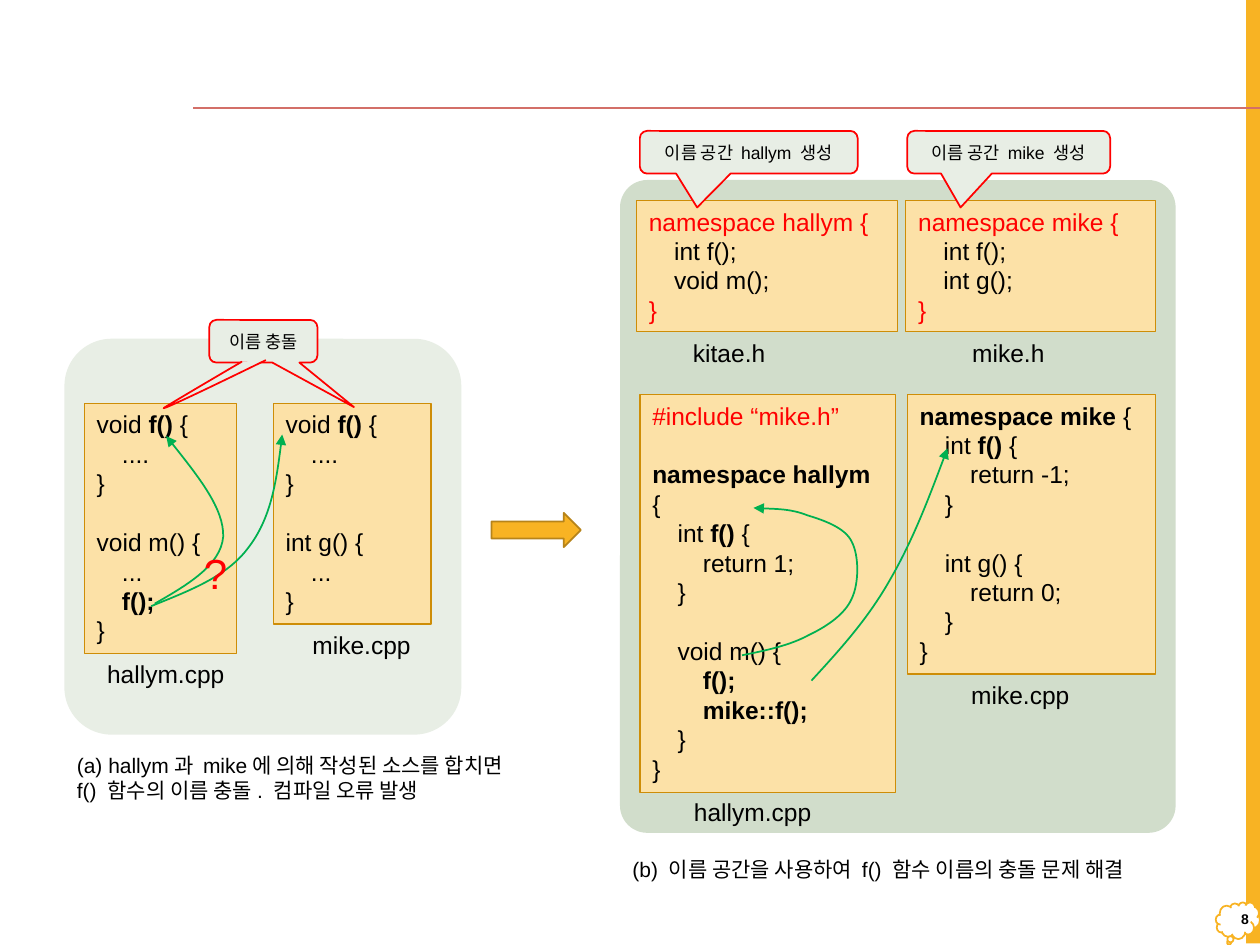
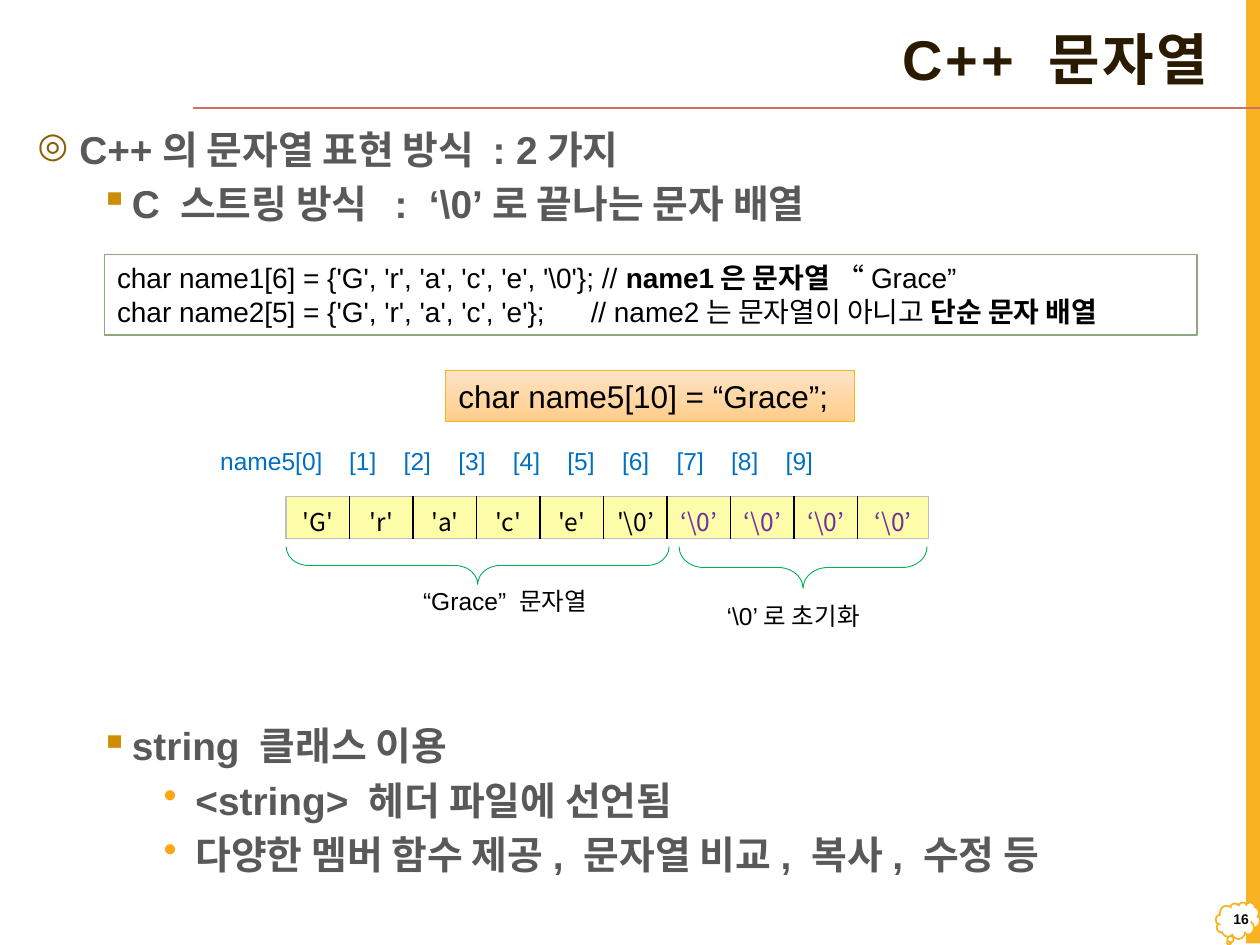
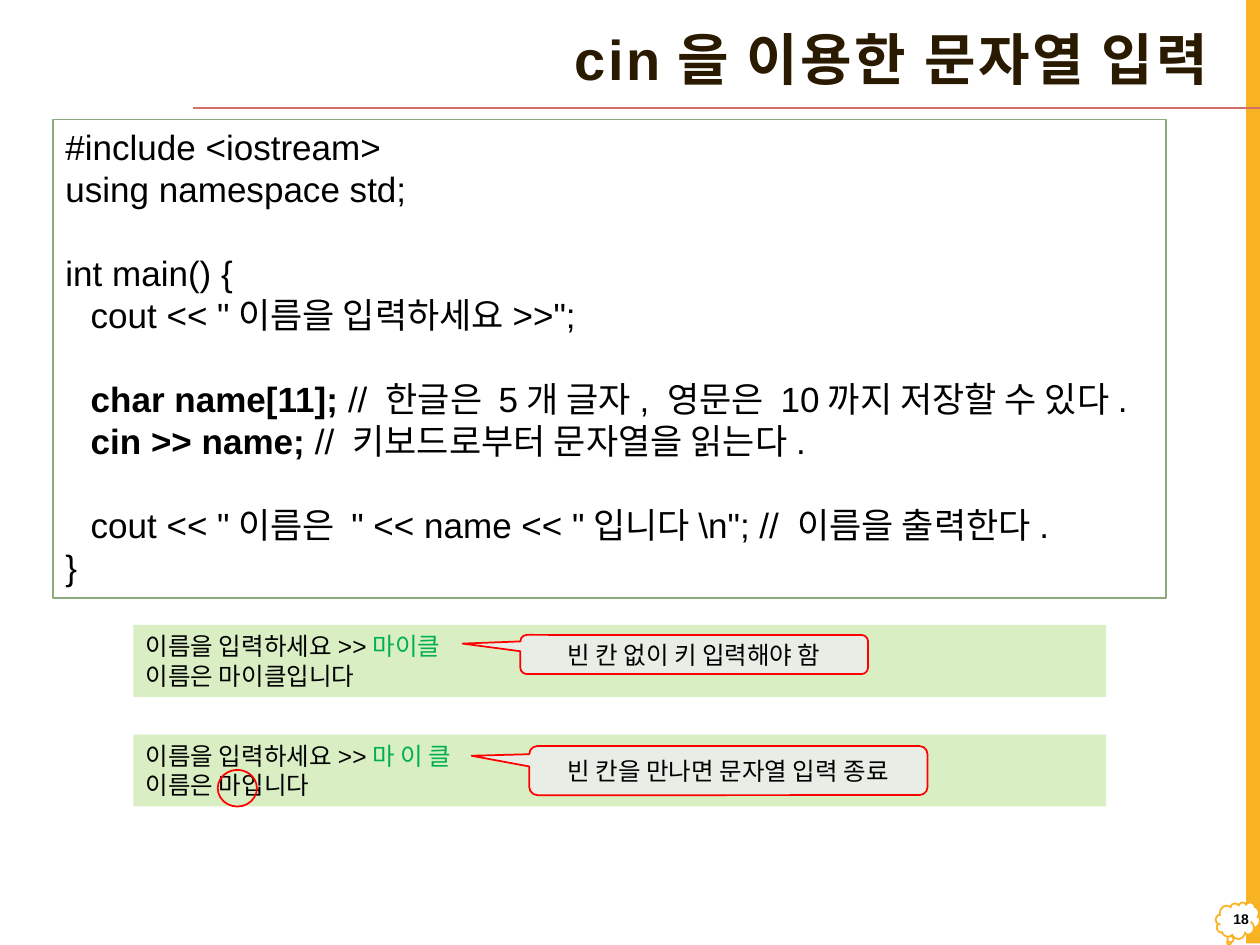
from lxml.etree import SubElement
from pptx import Presentation
from pptx.dml.color import RGBColor
from pptx.enum.shapes import MSO_CONNECTOR, MSO_SHAPE as Shape
from pptx.enum.text import MSO_ANCHOR as Anchor, PP_ALIGN as Align
from pptx.oxml.ns import qn
from pptx.util import Cm, Pt

# Shared look
LATIN, KOREAN = "Arial", "Noto Sans CJK KR"
BLACK, WHITE, RED, GREEN = "000000", "FFFFFF", "FF0000", "00B050"
GOLD, GOLD_DARK, RULE = "F8B323", "B7841A", "D36F68"
TITLE, BODY, PURPLE, BLUE = "2A1A00", "595959", "7030A0", "0070C0"
MIST, SAGE, LIME, MOSS = "E8EEE5", "D1DDCB", "DAEEC4", "8CAA7E"
CODE_FILL, CODE_LINE, CELL, CELL_EDGE = "FCE1A7", "CE8D07", "FDFDA9", "BFBFBF"

BOLD = {"bold": True}
IN_RED = {"color": RED}
CODE_TABS = [0.51, 1.02]
# Per outline level: left margin, hang, bullet, bullet colour, bullet size
LEVELS = [
    (0.84, 0.84, "◎", "895E04", 90),
    (1.9, 0.64, "▪", "CE8D07", 100),
    (3.18, 0.64, "•", "FFA615", 100),
]


def rgb(value):
    return RGBColor.from_string(value)


def lengths(*values):
    return [Cm(value) for value in values]


# Text
def add_run(paragraph, text, font):
    values = {"name": LATIN, "color": BLACK, "bold": False, **font}
    run = paragraph.add_run()
    run.text = text
    run.font.color.rgb = rgb(values.pop("color"))
    for name, value in values.items():
        setattr(run.font, name, value)
    SubElement(run.font._element, qn("a:ea"), typeface=KOREAN)
    return run


def set_tabs(paragraph, stops):
    tab_list = SubElement(paragraph._p.get_or_add_pPr(), qn("a:tabLst"))
    for stop in stops:
        SubElement(tab_list, qn("a:tab"), pos=str(Cm(stop)), algn="l")


def write(shape, lines, size, align=Align.LEFT, anchor=Anchor.TOP,
          wrap=True, tabs=(), **font):
    """A line is a string or a list of strings and (string, font values)."""
    frame = shape.text_frame
    frame.word_wrap = wrap
    frame.vertical_anchor = anchor
    font = {"size": Pt(size), **font}
    for index, line in enumerate(lines):
        paragraph = frame.add_paragraph() if index else frame.paragraphs[0]
        paragraph.alignment = align
        if tabs:
            set_tabs(paragraph, tabs)
        if not line:
            paragraph.font.size = Pt(size)
            continue
        for part in [line] if isinstance(line, str) else line:
            text, extra = (part, {}) if isinstance(part, str) else part
            add_run(paragraph, text, {**font, **extra})
    return shape


def add_text(slide, box, lines, size, **options):
    return write(slide.shapes.add_textbox(*lengths(*box)), lines, size, **options)


def add_label(slide, box, text, size=14, **options):
    return add_text(slide, box, [text], size, wrap=False, **options)


# Shapes
def style(shape, fill=None, line=None, width=1):
    shape.shadow.inherit = False
    if fill:
        shape.fill.solid()
        shape.fill.fore_color.rgb = rgb(fill)
    else:
        shape.fill.background()
    if line:
        shape.line.color.rgb = rgb(line)
        shape.line.width = Pt(width)
    else:
        shape.line.fill.background()
    return shape


def add_shape(slide, kind, box, fill=None, line=None, width=1, adjust=()):
    shape = slide.shapes.add_shape(kind, *lengths(*box))
    for index, value in enumerate(adjust):
        shape.adjustments[index] = value
    return style(shape, fill, line, width)


def add_code(slide, box, lines):
    shape = add_shape(slide, Shape.RECTANGLE, box, CODE_FILL, CODE_LINE, 0.75)
    write(shape, lines, 14, tabs=CODE_TABS)


def add_listing(slide, box, lines, size, tabs):
    shape = add_shape(slide, Shape.RECTANGLE, box, WHITE, MOSS)
    write(shape, lines, size, tabs=tabs)


def add_callout(slide, box, pointer, text, size):
    shape = add_shape(slide, Shape.ROUNDED_RECTANGULAR_CALLOUT, box, MIST, RED,
                      adjust=(*pointer, 0.167))
    write(shape, [text], size, align=Align.CENTER, anchor=Anchor.MIDDLE)


def add_brace(slide, box):
    shape = add_shape(slide, Shape.LEFT_BRACE, box, line=GREEN, width=0.5,
                      adjust=(0.598, 0.5))
    shape.rotation = 270


def add_curve(slide, points, line, fill=None):
    """Draw Bézier segments: a start, then three points per segment."""
    start, *rest = [lengths(*point) for point in points]
    builder = slide.shapes.build_freeform(*start)
    builder.add_line_segments(rest, close=False)
    shape = style(builder.convert_to_shape(), fill, line)
    outline = shape.element.find(".//" + qn("a:path"))
    segments = outline.findall(qn("a:lnTo"))
    for first in range(0, len(segments), 3):
        curve = SubElement(outline, qn("a:cubicBezTo"))
        for segment in segments[first:first + 3]:
            curve.append(segment[0])
            outline.remove(segment)
    return shape


def add_curved_arrow(slide, points):
    shape = add_curve(slide, points, GREEN)
    line = shape.element.spPr.find(qn("a:ln"))
    SubElement(line, qn("a:tailEnd"), type="triangle")


# Outline and table
def add_outline(slide, box, items):
    """Items are (level, text, space before in points)."""
    frame = slide.shapes.add_textbox(*lengths(*box)).text_frame
    frame.word_wrap = True
    for index, (level, text, space) in enumerate(items):
        paragraph = frame.add_paragraph() if index else frame.paragraphs[0]
        margin, hang, bullet, color, size = LEVELS[level]
        properties = paragraph._p.get_or_add_pPr()
        properties.set("marL", str(Cm(margin)))
        properties.set("indent", str(-Cm(hang)))
        bullet_color = SubElement(properties, qn("a:buClr"))
        SubElement(bullet_color, qn("a:srgbClr"), val=color)
        SubElement(properties, qn("a:buSzPct"), val=str(size * 1000))
        SubElement(properties, qn("a:buChar"), char=bullet)
        paragraph.level = level
        paragraph.line_spacing = 0.9
        paragraph.space_before = Pt(space)
        add_run(paragraph, text, {"size": Pt(22.2), "color": BODY, **BOLD})


def add_border(cell, side, color):
    line = SubElement(cell._tc.get_or_add_tcPr(), qn("a:" + side), w=str(Pt(1)))
    fill = SubElement(line, qn("a:solidFill"))
    SubElement(fill, qn("a:srgbClr"), val=color)


def add_cells(slide, left, top, widths, height, texts, colors):
    count = len(texts)
    frame = slide.shapes.add_table(1, count, *lengths(left, top, sum(widths), height))
    table = frame.table
    for index, (width, text, color) in enumerate(zip(widths, texts, colors)):
        table.columns[index].width = Cm(width)
        cell = table.cell(0, index)
        borders = {
            "lnL": BLACK if index else CELL_EDGE,
            "lnR": BLACK if index < count - 1 else CELL_EDGE,
            "lnT": CELL_EDGE,
            "lnB": CELL_EDGE,
        }
        for side, edge in borders.items():
            add_border(cell, side, edge)
        cell.fill.solid()
        cell.fill.fore_color.rgb = rgb(CELL)
        paragraph = cell.text_frame.paragraphs[0]
        paragraph.alignment = Align.CENTER
        add_run(paragraph, text, {"size": Pt(14), "name": KOREAN, "color": color})


# Frame of every slide
def add_slide(presentation, number, title=None):
    slide = presentation.slides.add_slide(presentation.slide_layouts[6])
    add_shape(slide, Shape.RECTANGLE, (25.12, -0.03, 0.28, 19.05), GOLD)
    add_shape(slide, Shape.CLOUD_CALLOUT, (24.51, 18.19, 0.89, 0.74), WHITE, GOLD)
    rule = slide.shapes.add_connector(
        MSO_CONNECTOR.STRAIGHT, *lengths(25.4, 2.18, 3.89, 2.18))
    rule.line.color.rgb = rgb(RULE)
    rule.line.width = Pt(1)
    SubElement(rule.element.spPr, qn("a:effectLst"))
    add_text(slide, (24.54, 18.08, 0.89, 0.89), [number], 8, align=Align.RIGHT,
             anchor=Anchor.MIDDLE, **BOLD)
    if title:
        box = add_text(slide, (3.35, 0.33, 21.26, 1.85), [title], 32,
                       align=Align.RIGHT, anchor=Anchor.MIDDLE, color=TITLE, **BOLD)
        paragraph = box.text_frame.paragraphs[0]
        paragraph.line_spacing = 0.9
        paragraph.runs[0].font._element.set("spc", "150")
    return slide


def build_namespaces(presentation):
    slide = add_slide(presentation, "8")
    add_shape(slide, Shape.ROUNDED_RECTANGLE, (12.5, 3.63, 11.2, 13.16), SAGE,
              adjust=(0.049,))
    add_shape(slide, Shape.ROUNDED_RECTANGLE, (1.3, 6.83, 8, 7.98), MIST,
              adjust=(0.119,))
    f_bold = ("f() ", BOLD)

    # Clashing sources
    add_code(slide, (1.7, 8.13, 3.07, 5.05), [
        ["void ", f_bold, "{"], "\t....", "}", "",
        "void m() {", "\t...", ["\t", ("f();", BOLD)], "}"])
    add_code(slide, (5.51, 8.13, 3.18, 4.45), [
        ["void ", f_bold, "{"], "\t....", "}", "",
        "int g() {", "\t...", "}"])
    add_curved_arrow(slide, [
        (3.12, 12.17), (3.78, 11.79), (4.45, 11.4), (4.5, 10.82),
        (4.52, 10.26), (3.94, 9.53), (3.35, 8.79)])
    add_curved_arrow(slide, [
        (3.05, 12.22), (3.81, 11.91), (4.57, 11.63), (5, 11.05),
        (5.46, 10.46), (5.59, 9.6), (5.69, 8.76)])
    add_label(slide, (3.86, 10.92, 0.91, 1.27), "?", 24, color=RED)
    add_callout(slide, (4.22, 6.45, 2.18, 0.86), (0.838, 1.544), "이름 충돌", 10)

    # Sources with namespaces
    add_code(slide, (12.9, 7.95, 5.16, 8.03), [
        [("#include “mike.h”", IN_RED)], "",
        [("namespace hallym ", BOLD), "{"],
        ["\tint ", f_bold, "{"], "\t\treturn 1;", "\t}", "",
        "\tvoid m() {", [("\t\tf();", BOLD)], [("\t\tmike::f();", BOLD)],
        "\t}", "}"])
    add_code(slide, (18.29, 7.95, 5, 5.64), [
        [("namespace mike ", BOLD), "{"],
        ["\tint ", f_bold, "{"], "\t\treturn -1;", "\t}", "",
        "\tint g() {", "\t\treturn 0;", "\t}", "}"])
    add_curved_arrow(slide, [
        (16.36, 13.72), (16.92, 13.11), (17.48, 12.5), (17.93, 11.71),
        (18.39, 10.92), (18.75, 9.98), (19.1, 9.04)])

    # Headers
    headers = [
        (12.83, 5.26, "hallym", "void m();"),
        (18.26, 5.03, "mike", "int g();"),
    ]
    for left, width, name, second in headers:
        add_code(slide, (left, 4.04, width, 2.64), [
            [(f"namespace {name} {{", IN_RED)], "\tint f();", "\t" + second,
            [("}", IN_RED)]])
    for left, width, name in [(12.9, 4.39, "hallym"), (18.29, 4.09, "mike")]:
        add_callout(slide, (left, 2.64, width, 0.86), (-0.237, 1.295),
                    f"이름 공간 {name} 생성", 10)

    # File names and captions
    file_names = [
        (1.91, 13.16, 2.95, "hallym.cpp"), (6.05, 12.57, 2.54, "mike.cpp"),
        (13.74, 15.95, 2.95, "hallym.cpp"), (19.33, 13.59, 2.54, "mike.cpp"),
        (13.72, 6.68, 1.98, "kitae.h"), (19.35, 6.68, 1.98, "mike.h"),
    ]
    for left, top, width, name in file_names:
        add_label(slide, (left, top, width, 0.86), name)
    add_text(slide, (1.3, 15.04, 9.5, 1.27), [
        "(a) hallym과 mike에 의해 작성된 소스를 합치면 "
        "f() 함수의 이름 충돌. 컴파일 오류 발생"], 12)
    add_text(slide, (12.5, 17.15, 11.61, 0.76), [
        "(b) 이름 공간을 사용하여 f() 함수 이름의 충돌 문제 해결"], 12)
    add_shape(slide, Shape.RIGHT_ARROW, (9.91, 10.34, 1.8, 0.69), GOLD, GOLD_DARK)
    add_curved_arrow(slide, [
        (14.96, 13.21), (15.47, 13.11), (15.95, 13), (16.31, 12.8),
        (16.69, 12.62), (17.04, 12.37), (17.17, 12.07), (17.32, 11.76),
        (17.32, 11.2), (17.17, 10.92), (17.04, 10.64), (16.61, 10.49),
        (16.28, 10.39), (15.95, 10.26), (15.57, 10.26), (15.19, 10.24)])
    # Second pointer of the clash callout
    add_curve(slide, [
        (4.88, 7.29), (4.06, 7.77), (3.23, 8.26), (3.3, 8.23),
        (3.38, 8.23), (5.36, 7.26), (5.36, 7.26)], RED, MIST)


def build_strings(presentation):
    slide = add_slide(presentation, "16", "C++ 문자열")
    add_outline(slide, (0.51, 2.51, 24.21, 16.2), [
        (0, "C++의 문자열 표현 방식 : 2가지", 0),
        (1, "C 스트링 방식  :  ‘\\0’로 끝나는 문자 배열", 7),
        (1, "string 클래스 이용", 286),
        (2, "<string> 헤더 파일에 선언됨", 7),
        (2, "다양한 멤버 함수 제공, 문자열 비교, 복사, 수정 등", 7),
    ])

    # Character array
    texts = [f"'{letter}'" for letter in "Grace"] + ["'\\0’"] + ["‘\\0’"] * 4
    add_cells(slide, 5.77, 10.01, [1.28] * 9 + [1.43], 0.79, texts,
              [BLACK] * 6 + [PURPLE] * 4)
    indexes = [f"[{index}]" for index in range(10)]
    add_text(slide, (4.19, 8.86, 14.25, 0.86), ["name5" + "\t".join(indexes)], 14,
             tabs=[round(2.6 + 1.1 * step, 2) for step in range(9)], color=BLUE)
    add_brace(slide, (9.25, 7.54, 0.76, 7.72))
    add_brace(slide, (15.77, 8.94, 0.84, 5))
    add_label(slide, (8.28, 11.68, 3.84, 0.86), "“Grace” 문자열")
    add_label(slide, (14.4, 11.99, 3.58, 0.86), "‘\\0’로 초기화")

    # Declarations
    add_listing(slide, (2.11, 5.13, 22.02, 1.63), [
        ["char name1[6] = {'G', 'r', 'a', 'c', 'e', '\\0'}; // ",
         ("name1은 문자열 ", BOLD), "“Grace”"],
        ["char name2[5] = {'G', 'r', 'a', 'c', 'e'};\t// name2는 문자열이 아니고 ",
         ("단순 문자 배열", BOLD)],
    ], 16, [9.55])
    declaration = add_shape(slide, Shape.RECTANGLE, (8.99, 7.47, 8.23, 1.02),
                            CODE_FILL, GOLD, 0.5)
    declaration.fill.gradient()
    declaration.fill.gradient_angle = 270
    for stop, color in zip(declaration.fill.gradient_stops, ("FEE3C5", "FFCD8B")):
        stop.color.rgb = rgb(color)
    write(declaration, ["char name5[10] = “Grace”;"], 18, wrap=False)


def build_input(presentation):
    slide = add_slide(presentation, "18", "cin을 이용한 문자열 입력")
    add_listing(slide, (1.07, 2.41, 22.43, 9.65), [
        "#include <iostream>",
        "using namespace std;",
        "",
        "int main() {",
        "\tcout << \"이름을 입력하세요>>\";",
        "",
        [("\tchar name[11]; ", BOLD),
         "// 한글은 5개 글자, 영문은 10까지 저장할 수 있다."],
        [("\tcin >> name; ", BOLD), "// 키보드로부터 문자열을 읽는다."],
        "",
        "\tcout << \"이름은 \" << name << \"입니다\\n\"; // 이름을 출력한다.",
        "}",
    ], 20, CODE_TABS)

    # Console runs
    for top, typed, stored in [(12.6, "마이클", "마이클"), (14.81, "마 이 클", "마")]:
        console = add_shape(slide, Shape.RECTANGLE, (2.69, top, 19.61, 1.45), LIME)
        write(console, [["이름을 입력하세요>>", (typed, {"color": GREEN})],
                        f"이름은 {stored}입니다"], 14)
    add_callout(slide, (10.49, 12.8, 7.01, 0.79), (-0.666, -0.278),
                "빈 칸 없이 키 입력해야 함", 14)
    add_callout(slide, (10.67, 15.04, 8.03, 0.99), (-0.645, -0.302),
                "빈 칸을 만나면 문자열 입력 종료", 14)
    add_shape(slide, Shape.OVAL, (4.39, 15.52, 0.79, 0.74), line=RED)


def main():
    presentation = Presentation()
    presentation.slide_width, presentation.slide_height = lengths(25.4, 19.05)
    build_namespaces(presentation)
    build_strings(presentation)
    build_input(presentation)
    presentation.save("out.pptx")


if __name__ == "__main__":
    main()
